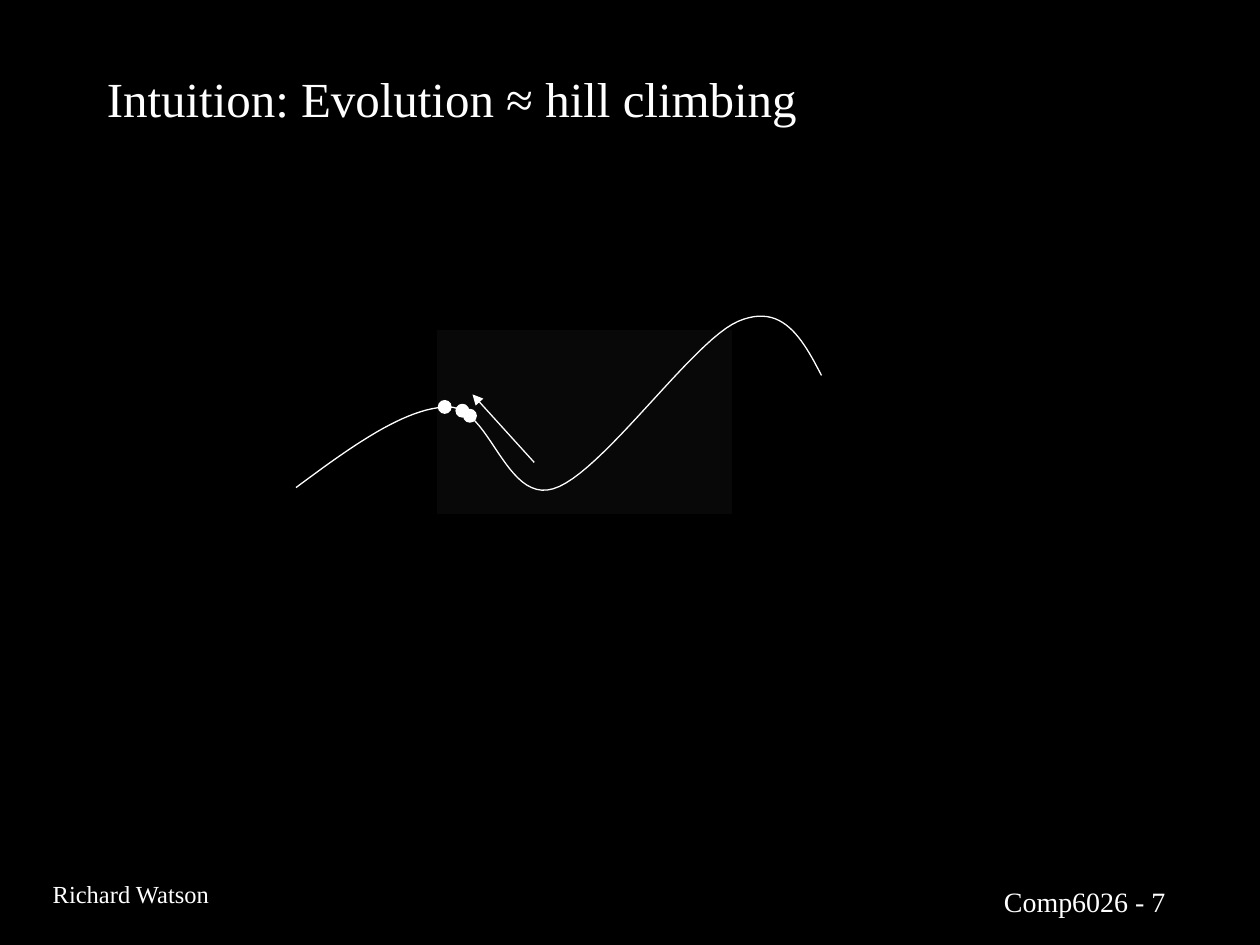
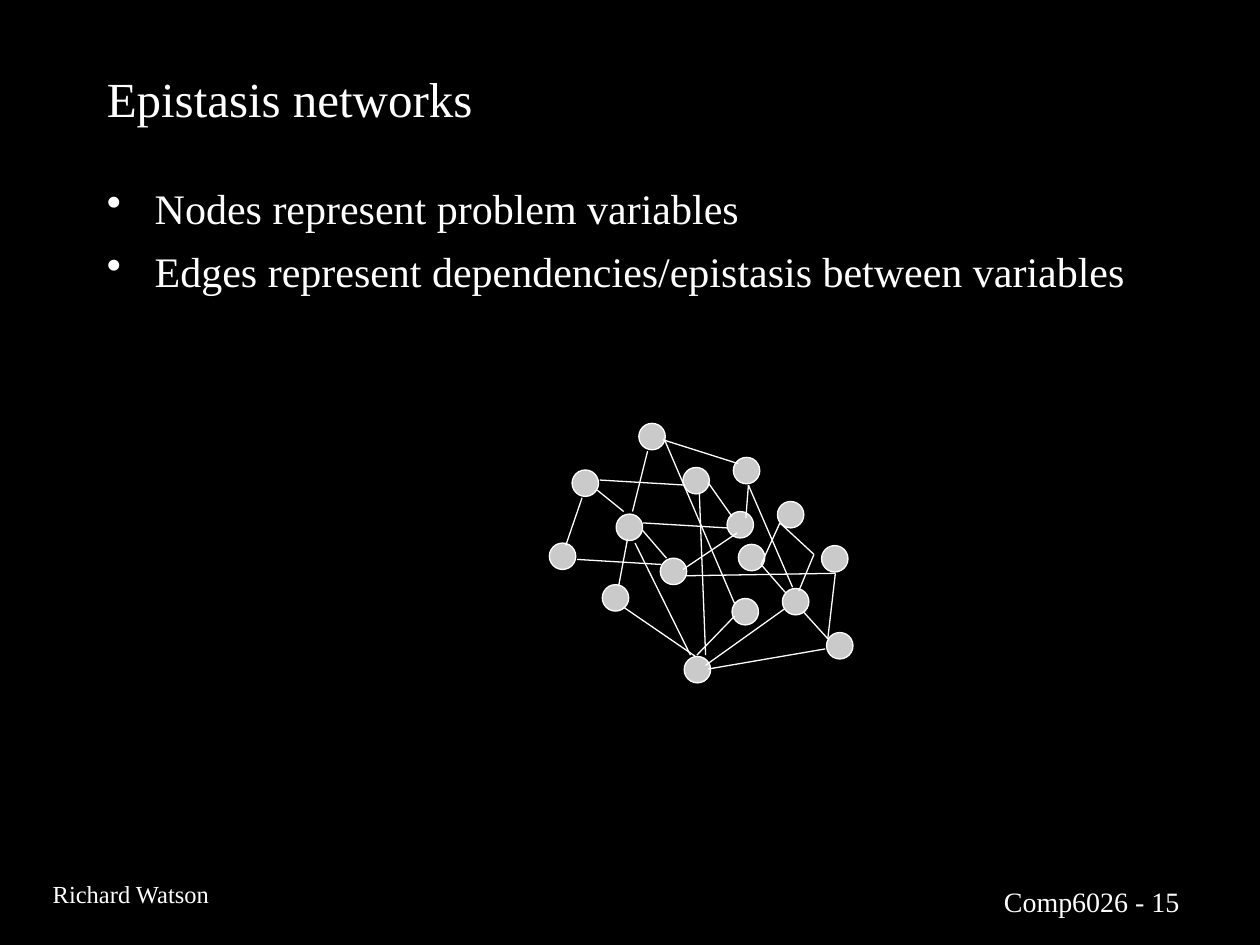
from lxml.etree import SubElement
from pptx import Presentation
from pptx.dml.color import RGBColor
from pptx.enum.shapes import MSO_CONNECTOR, MSO_SHAPE
from pptx.enum.text import MSO_ANCHOR
from pptx.oxml.ns import qn
from pptx.util import Inches, Pt

FONT = "Times New Roman"
BLACK, WHITE, PANEL, NODE = "000000", "FFFFFF", "080808", "CACACA"
LINE_WIDTH = 0.75

AUTHOR = "Richard Watson"
COURSE = "Comp6026"

HILL_TITLE = "Intuition: Evolution ≈ hill climbing"
HILL_PANEL = (3.47, 2.62, 2.34, 1.46)
HILL_START = (2.35, 3.87)
HILL_CURVES = [
    ((2.78, 3.55), (3.22, 3.23), (3.56, 3.23)),
    ((3.89, 3.23), (4.01, 3.99), (4.39, 3.88)),
    ((4.77, 3.77), (5.5, 2.7), (5.86, 2.55)),
    ((6.21, 2.4), (6.37, 2.69), (6.52, 2.98)),
]
CURVE_STEPS = 24
CLIMBERS = [(3.62, 3.21), (3.48, 3.18), (3.68, 3.25)]
CLIMBER_SIZE = 0.1
CLIMB_ARROW = ((4.24, 3.67), (3.75, 3.13))

NETWORK_TITLE = "Epistasis networks"
NETWORK_POINTS = [
    "Nodes represent problem variables",
    "Edges represent dependencies/epistasis between variables",
]
NODE_SIZE = 0.21
CHAIN_STEP = 0.35
CHAIN_STARTS = [(4.54, 3.73), (5.82, 3.63), (5.86, 4.32), (5.07, 3.36)]
SINGLE_NODES = [(5.43, 5.21), (4.36, 4.31), (4.78, 4.64), (5.81, 4.75)]
EDGE_ROUTES = [
    [(4.49, 4.33), (4.62, 3.95)],
    [(4.91, 4.65), (4.98, 4.28)],
    [(4.58, 4.44), (5.25, 4.48)],
    [(5.1, 4.21), (5.29, 4.43)],
    [(4.76, 3.81), (5.44, 3.85)],
    [(5.14, 3.58), (5.02, 4.06)],
    [(4.74, 3.89), (4.95, 4.06)],
    [(5.27, 3.48), (5.83, 4.79)],
    [(5.26, 3.49), (5.86, 3.68)],
    [(5.62, 3.83), (5.81, 4.1)],
    [(5.77, 4.19), (5.1, 4.15)],
    [(5.85, 4.23), (5.42, 4.52)],
    [(5.92, 4.11), (5.94, 3.85), (6.29, 4.66)],
    [(6.24, 4.71), (6.04, 4.48), (6.19, 4.15), (6.46, 4.4), (6.34, 4.69)],
    [(6.38, 4.86), (6.57, 5.07), (6.63, 4.55), (5.44, 4.57)],
    [(5.83, 4.89), (5.53, 5.2)],
    [(5.52, 5.21), (4.95, 4.82)],
    [(5.48, 5.2), (5.04, 4.31)],
    [(5.6, 5.28), (6.23, 4.83)],
    [(5.62, 5.31), (6.55, 5.15)],
    [(5.6, 5.2), (5.55, 3.91)],
]


def color(value):
    return RGBColor.from_string(value)


def add_text(page, place, lines, size, wrap=True, anchor=MSO_ANCHOR.TOP, bullets=False):
    box = page.shapes.add_textbox(*map(Inches, place))
    frame = box.text_frame
    frame.word_wrap = wrap
    frame.vertical_anchor = anchor
    frame.text = "\n".join(lines)
    for index, paragraph in enumerate(frame.paragraphs):
        if bullets:
            properties = paragraph._p.get_or_add_pPr()
            properties.set("marL", str(Inches(0.38)))
            properties.set("indent", str(-Inches(0.38)))
            SubElement(properties, qn("a:buChar")).set("char", "•")
            if index:
                paragraph.space_before = Pt(7)
        for span in paragraph.runs:
            span.font.name = FONT
            span.font.size = Pt(size)
            span.font.color.rgb = color(WHITE)


def style_line(shape):
    shape.line.color.rgb = color(WHITE)
    shape.line.width = Pt(LINE_WIDTH)


def add_filled(page, kind, place, fill, outlined=True):
    shape = page.shapes.add_shape(kind, *map(Inches, place))
    shape.shadow.inherit = False
    shape.fill.solid()
    shape.fill.fore_color.rgb = color(fill)
    if outlined:
        style_line(shape)
    else:
        shape.line.fill.background()


def add_circle(page, corner, size, fill):
    add_filled(page, MSO_SHAPE.OVAL, (*corner, size, size), fill)


def add_line(page, start, end, arrow=False):
    line = page.shapes.add_connector(MSO_CONNECTOR.STRAIGHT, *map(Inches, (*start, *end)))
    style_line(line)
    SubElement(line._element.spPr, qn("a:effectLst"))
    if arrow:
        SubElement(line.line._get_or_add_ln(), qn("a:tailEnd")).set("type", "triangle")


def curve_points(start, curves):
    points = []
    for first, second, end in curves:
        for step in range(1, CURVE_STEPS + 1):
            t = step / CURVE_STEPS
            weights = ((1 - t) ** 3, 3 * t * (1 - t) ** 2, 3 * t**2 * (1 - t), t**3)
            corners = (start, first, second, end)
            points.append(tuple(
                Inches(sum(weight * corner[axis] for weight, corner in zip(weights, corners)))
                for axis in (0, 1)
            ))
        start = end
    return points


def add_page(deck, title, number):
    page = deck.slides.add_slide(deck.slide_layouts[6])
    page.background.fill.solid()
    page.background.fill.fore_color.rgb = color(BLACK)
    add_text(page, (7.87, 6.97, 2.96, 0.36), [f"{COURSE} - {number}"], 16)
    add_text(page, (0.32, 6.93, 1.46, 0.34), [AUTHOR], 14, wrap=False)
    add_text(page, (0.75, 0.41, 8.5, 0.73), [title], 28, anchor=MSO_ANCHOR.MIDDLE)
    return page


def build_hill(deck):
    page = add_page(deck, HILL_TITLE, 7)
    add_filled(page, MSO_SHAPE.RECTANGLE, HILL_PANEL, PANEL, outlined=False)
    builder = page.shapes.build_freeform(*map(Inches, HILL_START))
    builder.add_line_segments(curve_points(HILL_START, HILL_CURVES), close=False)
    landscape = builder.convert_to_shape()
    landscape.shadow.inherit = False
    landscape.fill.background()
    style_line(landscape)
    for corner in CLIMBERS:
        add_circle(page, corner, CLIMBER_SIZE, WHITE)
    add_line(page, *CLIMB_ARROW, arrow=True)


def build_network(deck):
    page = add_page(deck, NETWORK_TITLE, 15)
    add_text(page, (0.75, 1.4, 8.5, 5.52), NETWORK_POINTS, 24, bullets=True)
    chain_nodes = [
        (left + CHAIN_STEP * place, top + CHAIN_STEP * place)
        for left, top in CHAIN_STARTS
        for place in range(3)
    ]
    for corner in chain_nodes + SINGLE_NODES:
        add_circle(page, corner, NODE_SIZE, NODE)
    for route in EDGE_ROUTES:
        for start, end in zip(route, route[1:]):
            add_line(page, start, end)


def main():
    deck = Presentation()
    deck.slide_width = Inches(10)
    deck.slide_height = Inches(7.5)
    build_hill(deck)
    build_network(deck)
    deck.save("out.pptx")


if __name__ == "__main__":
    main()
